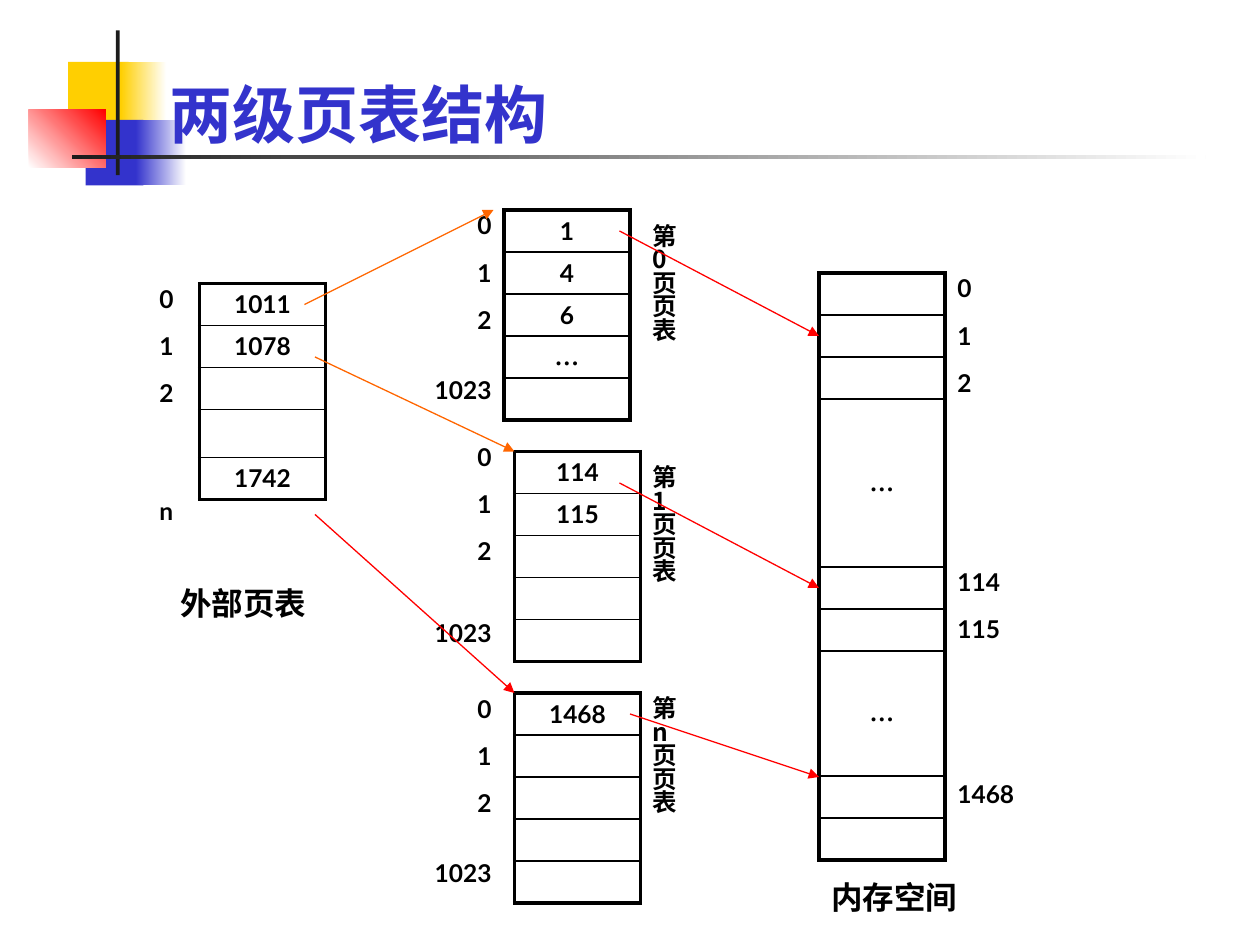
from pptx import Presentation
from pptx.dml.color import RGBColor
from pptx.enum.shapes import MSO_CONNECTOR as Link, MSO_SHAPE as Shape
from pptx.enum.text import MSO_ANCHOR as Anchor, PP_ALIGN as Align
from pptx.oxml import parse_xml
from pptx.oxml.ns import nsdecls
from pptx.util import Pt

BLACK = RGBColor(0x00, 0x00, 0x00)
WHITE = RGBColor(0xFF, 0xFF, 0xFF)
DARK = RGBColor(0x1C, 0x1C, 0x1C)
BLUE = RGBColor(0x33, 0x33, 0xCC)
GOLD = RGBColor(0xFF, 0xCF, 0x01)
RED = RGBColor(0xFF, 0x00, 0x00)
ORANGE = RGBColor(0xFF, 0x66, 0x00)

LATIN = "Lato"
HAN = "Noto Sans CJK SC"
SERIF = "Times New Roman"
ROW = 24
LINE = 13.44
WIDE = 72


def style(para, size, name=LATIN, color=BLACK):
    for run in para.runs:
        font = run.font
        font.size, font.bold, font.name = Pt(size), True, name
        font.color.rgb = color


def add_text(slide, box, text, size, color=BLACK, anchor=Anchor.TOP):
    frame = slide.shapes.add_textbox(*map(Pt, box)).text_frame
    frame.word_wrap = True
    frame.vertical_anchor = anchor
    frame.text = text
    for para in frame.paragraphs:
        style(para, size, color=color)
    return frame


def add_labels(slide, box, items, align=Align.LEFT):
    frame = add_text(slide, box, "\n".join(text for text, _ in items), 14)
    for para, (_, gap) in zip(frame.paragraphs, items):
        para.alignment = align
        para.line_spacing = 0.8
        if gap:
            para.space_before = Pt(round(gap * LINE, 2))


def add_name(slide, box, text):
    frame = add_text(slide, box, "\n".join(text), 14)
    for para in frame.paragraphs:
        style(para, 14, HAN)
        para.line_spacing = Pt(LINE)
        for run in para.runs:
            run.font._element.append(
                parse_xml(f'<a:ea {nsdecls("a")} typeface="{HAN}"/>'))


def add_borders(cell, first, last):
    widths = {"lnL": 2.25, "lnR": 2.25,
              "lnT": 2.25 if first else 1, "lnB": 2.25 if last else 1}
    props = cell._tc.get_or_add_tcPr()
    for spot, (tag, width) in enumerate(widths.items()):
        props.insert(spot, parse_xml(
            f'<a:{tag} {nsdecls("a")} w="{Pt(width)}"><a:solidFill>'
            f'<a:srgbClr val="{BLACK}"/></a:solidFill></a:{tag}>'))


def add_stack(slide, left, top, rows):
    total = sum(height for _, height in rows)
    table = slide.shapes.add_table(
        len(rows), 1, Pt(left), Pt(top), Pt(WIDE), Pt(total)).table
    table.first_row = table.horz_banding = False
    for spot, (text, height) in enumerate(rows):
        table.rows[spot].height = Pt(height)
        cell = table.cell(spot, 0)
        cell.margin_top = cell.margin_bottom = Pt(1)
        cell.vertical_anchor = Anchor.MIDDLE
        cell.fill.background()
        add_borders(cell, spot == 0, spot == len(rows) - 1)
        if text:
            cell.text = text
            para = cell.text_frame.paragraphs[0]
            para.alignment = Align.CENTER
            style(para, 14, SERIF if text == "…" else LATIN)


def add_arrow(slide, color, start, end):
    line = slide.shapes.add_connector(
        Link.STRAIGHT, *map(Pt, (*start, *end)))
    line.line.color.rgb = color
    line.line.width = Pt(0.75)
    line.line._get_or_add_ln().append(
        parse_xml(f'<a:tailEnd {nsdecls("a")} type="triangle"/>'))
    line._element.spPr.append(parse_xml(f'<a:effectLst {nsdecls("a")}/>'))


def add_block(slide, box, color, fade=None, angle=0):
    block = slide.shapes.add_shape(Shape.RECTANGLE, *map(Pt, box))
    block.shadow.inherit = False
    block.line.fill.background()
    if fade is None:
        block.fill.solid()
        block.fill.fore_color.rgb = color
        return
    block.fill.gradient()
    block.fill.gradient_angle = angle
    for stop, tone in zip(block.fill.gradient_stops, (color, fade)):
        stop.color.rgb = tone


def draw_header(slide, left, top):
    parts = [
        ((22.4, 18, 34.6, 37.4), GOLD),
        ((52.6, 18, 26, 37.4), GOLD, WHITE),
        ((32.4, 51.2, 33.1, 37.4), BLUE),
        ((61.2, 51.2, 28.8, 37.4), BLUE, WHITE),
        ((0, 45.4, 44, 33.1), WHITE, RED, 45),
        ((49.7, 0, 2.2, 82.8), DARK),
        ((24.5, 71.3, 648, 2.5), DARK, WHITE),
    ]
    for (x, y, width, height), *fill in parts:
        add_block(slide, (left + x, top + y, width, height), *fill)
    add_text(slide, (left + 73.4, top + 2.9, 510, 69.8), "两级页表结构",
             36, BLUE, Anchor.BOTTOM)


def draw_outer(slide, left, top):
    rows = [("1011", ROW), ("1078", ROW), ("", ROW), ("", 27.5), ("1742", ROW)]
    add_stack(slide, left, top, rows)
    add_labels(slide, (left - 30, top, 30, 154),
               [("0", 0), ("1", 1), ("2", 1), ("n", 4)])
    add_text(slide, (left - 18, top + 168, 90, 29), "外部页表", 18)


def draw_page(slide, left, top, words, name, shift, drop, lift=0, gap=2):
    rows = [(word, ROW) for word in words + [""] * (5 - len(words))]
    add_stack(slide, left, top, rows)
    add_labels(slide, (left - shift - 60, top - lift, 60, 128),
               [("0", 0), ("1", 1), ("2", 1), ("1023", gap)], Align.RIGHT)
    add_name(slide, (left + 78 - shift, top + drop, 24, 88), name)


def draw_memory(slide, left, top):
    rows = [("", ROW)] * 3 + [("…", 96)] + [("", ROW)] * 2
    rows += [("…", 71.5)] + [("", ROW)] * 2
    add_stack(slide, left, top, rows)
    add_labels(slide, (left + WIDE, top, 72, 335),
               [("0", 0), ("1", 1), ("2", 1), ("114", 7.5), ("115", 1),
                ("1468", 6)])
    add_text(slide, (left, top + 342, 90, 29), "内存空间", 18)


def draw_arrows(slide):
    for color, start, end in [
        (ORANGE, (174, 174), (282, 120)),
        (ORANGE, (180, 204), (294, 258)),
        (RED, (180, 294), (294, 396)),
        (RED, (354, 132), (468, 192)),
        (RED, (354, 276), (468, 336)),
        (RED, (360, 408), (468, 444)),
    ]:
        add_arrow(slide, color, start, end)


def main():
    deck = Presentation()
    deck.slide_width, deck.slide_height = Pt(720), Pt(540)
    slide = deck.slides.add_slide(deck.slide_layouts[6])
    draw_header(slide, 16.5, 17.3)
    draw_outer(slide, 114, 162)
    draw_page(slide, 288, 120, ["1", "4", "6", "…"], "第0页页表", 0, 6)
    draw_page(slide, 294, 258, ["114", "115"], "第1页页表", 6, 6, 6, 2.5)
    draw_page(slide, 294, 396, ["1468"], "第n页页表", 6, 0)
    draw_memory(slide, 468, 156)
    draw_arrows(slide)
    deck.save("out.pptx")


if __name__ == "__main__":
    main()
